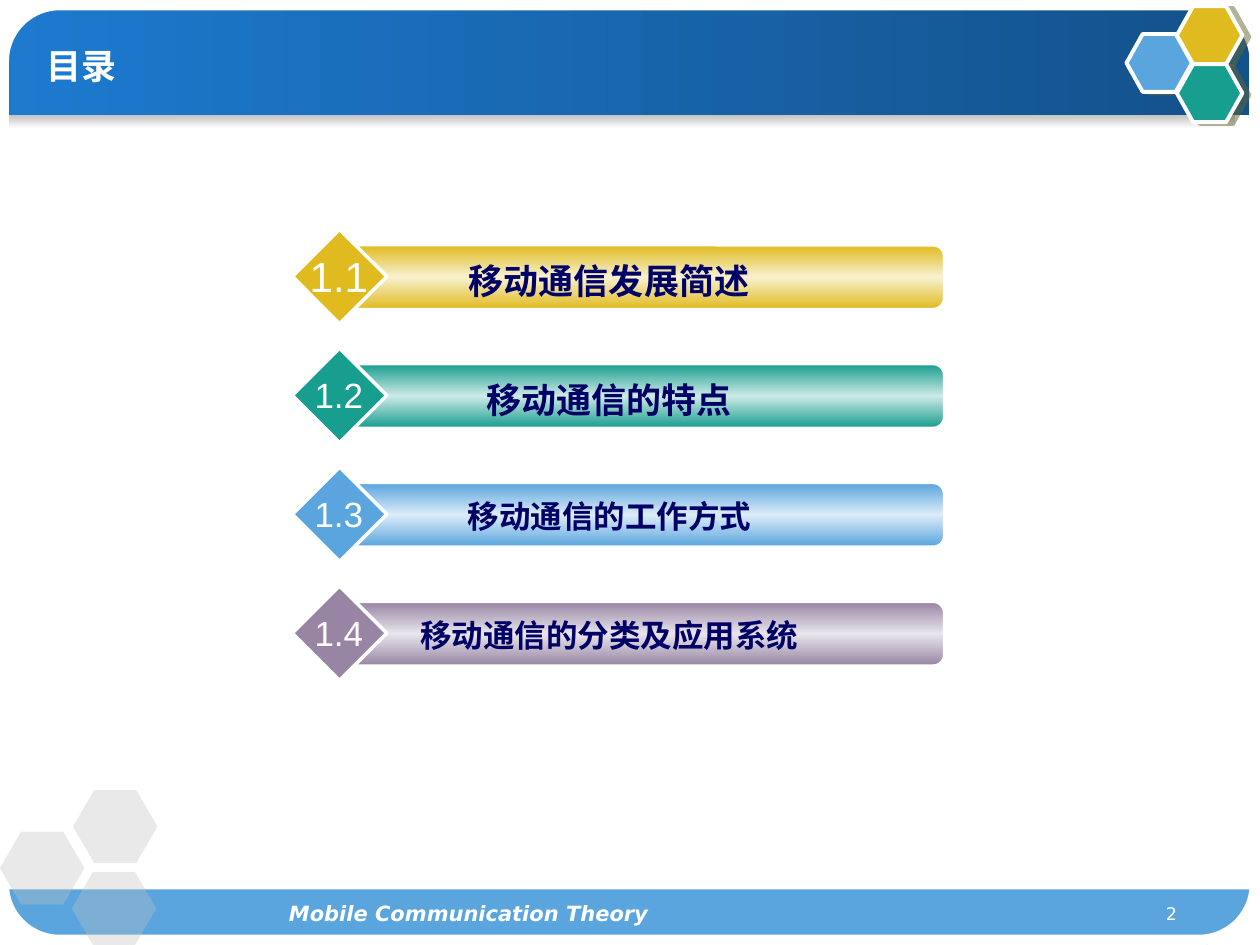
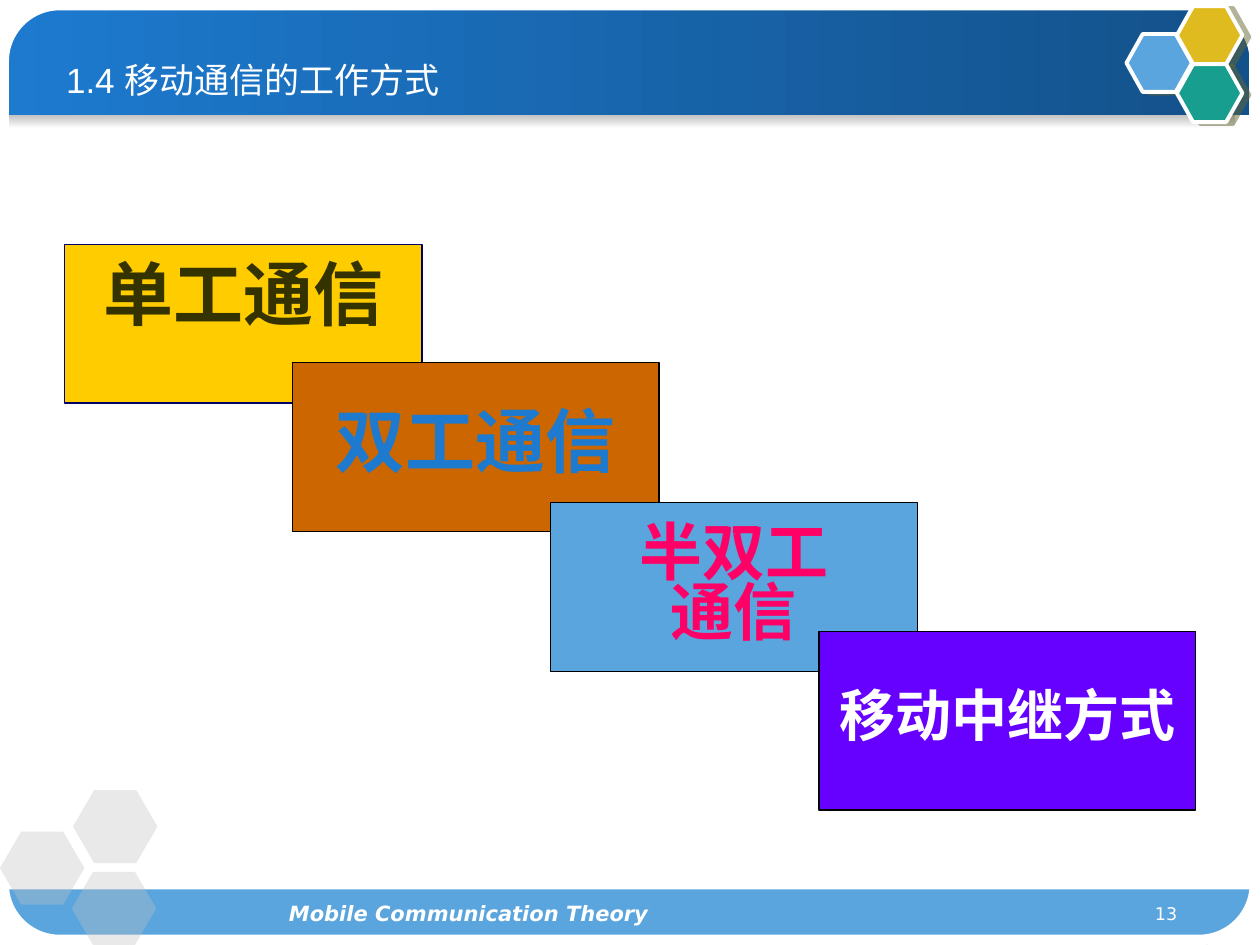
from copy import deepcopy
from lxml import etree
from pptx import Presentation
from pptx.dml.color import RGBColor
from pptx.enum.shapes import MSO_SHAPE
from pptx.enum.text import MSO_ANCHOR, PP_ALIGN
from pptx.oxml.ns import qn
from pptx.util import Inches, Pt

RECT, ROUND = MSO_SHAPE.RECTANGLE, MSO_SHAPE.ROUNDED_RECTANGLE
HEXAGON, DIAMOND = MSO_SHAPE.HEXAGON, MSO_SHAPE.DIAMOND
TOP, MIDDLE = MSO_ANCHOR.TOP, MSO_ANCHOR.MIDDLE
LEFT, CENTER, RIGHT = PP_ALIGN.LEFT, PP_ALIGN.CENTER, PP_ALIGN.RIGHT

THEME = {
    "white": "FFFFFF", "black": "000000", "navy": "000066", "silver": "C0C0C0",
    "blue": "1D7ACF", "deep": "13518A", "sky": "5AA5DE",
    "gold": "E0BB20", "teal": "189E8E", "mauve": "9885A3",
    "gold_tint": "F8F1D0", "teal_tint": "CEEAE7", "sky_tint": "DCECF8", "mauve_tint": "E9E5EC",
    "hex_shadow": "666633", "yellow": "FFCC00", "orange": "CC6600", "violet": "6600FF",
    "olive": "343300", "pink": "FF0066",
    "heading": "Arial", "body": "DejaVu Sans",
    "title_size": 20, "footer_size": 12, "number_size": 10,
}


def draw(s, kind, at, fill=None, line=None, width=0.75, adj=None):
    """Add a shape; a list of colour names as fill makes an even vertical gradient."""
    sp = s.shapes.add_shape(kind, *map(Inches, at))
    sp.shadow.inherit = False
    if adj is not None:
        sp.adjustments[0] = adj
    if isinstance(fill, list):
        sp.fill.gradient()
        sp.fill.gradient_angle = 270
        gs_list = sp._element.spPr.find(".//" + qn("a:gsLst"))
        while len(gs_list) < len(fill):
            gs_list.append(deepcopy(gs_list[0]))
        for i, (stop, name) in enumerate(zip(sp.fill.gradient_stops, fill)):
            stop.color.rgb = RGBColor.from_string(THEME[name])
            stop.position = i / (len(fill) - 1)
    elif fill:
        sp.fill.solid()
        sp.fill.fore_color.rgb = RGBColor.from_string(THEME[fill])
    else:
        sp.fill.background()
    if line:
        sp.line.color.rgb = RGBColor.from_string(THEME[line])
        sp.line.width = Pt(width)
    else:
        sp.line.fill.background()
    return sp


def write(tf, lines, size, color="white", font="body", align=CENTER, anchor=TOP,
          wrap=True, spacing=None, **style):
    """Fill a text frame, one paragraph per line."""
    tf.word_wrap, tf.vertical_anchor = wrap, anchor
    for i, text in enumerate(lines):
        p = tf.paragraphs[0] if i == 0 else tf.add_paragraph()
        p.alignment = align
        if spacing:
            p.line_spacing = spacing
        r = p.add_run()
        r.text = text
        r.font.color.rgb = RGBColor.from_string(THEME[color])
        for key, value in {"name": THEME[font], "size": Pt(size), "bold": False, **style}.items():
            setattr(r.font, key, value)


prs = Presentation()
prs.slide_width, prs.slide_height = Inches(10), Inches(7.5)

# Shared look of both slides
corners = [
    [(0, 0.49), (0.13, 0.25), (0.27, 0.06), (0.48, 0), (0, 0)],
    [(0.42, 7.5), (0.2, 7.33), (0.04, 7.17), (0, 6.92), (0, 7.5)],
    [(10, 6.99), (9.88, 7.24), (9.75, 7.43), (9.57, 7.5), (10, 7.5)],
    [(9.5, 0), (9.75, 0.14), (9.94, 0.29), (10, 0.5), (10, 0)],
]
badges = [(8.94, 0.27, "sky"), (9.34, 0.05, "gold"), (9.34, 0.51, "teal")]
ghosts = [(0, 6.6), (0.58, 6.27), (0.57, 6.92)]

slides = []
for number in ("2", "13"):
    s = prs.slides.add_slide(prs.slide_layouts[5])
    slides.append(s)

    # Bands
    sp = draw(s, RECT, (0, 0.01, 9.91, 0.9), ["blue", "deep"])
    sp.fill.gradient_angle = 0
    draw(s, RECT, (0, 7.06, 9.98, 0.44), "sky")
    draw(s, RECT, (0, 0.91, 9.8, 0.11), ["silver", "white"])

    # Rounded white frame with its corners
    draw(s, ROUND, (0.03, 0.04, 9.93, 7.42), line="white", width=6, adj=0.06)
    for points in corners:
        points = [(Inches(x), Inches(y)) for x, y in points]
        outline = s.shapes.build_freeform(*points[0])
        outline.add_line_segments(points[1:])
        sp = outline.convert_to_shape()
        sp.shadow.inherit = False
        sp.fill.solid()
        sp.fill.fore_color.rgb = RGBColor.from_string(THEME["white"])
        sp.line.fill.background()

    # Coloured hexagons with a hard shadow
    for x, y, color in badges:
        sp = draw(s, HEXAGON, (x, y, 0.52, 0.46), color, "white", 2.25, 0.28)
        effects = sp._element.spPr.find(qn("a:effectLst"))
        shadow = etree.SubElement(effects, qn("a:outerShdw"), blurRad="0", dist=str(Pt(4.1)),
                                  dir=str(14 * 60000), algn="ctr", rotWithShape="0")
        tone = etree.SubElement(shadow, qn("a:srgbClr"), val=THEME["hex_shadow"])
        etree.SubElement(tone, qn("a:alpha"), val="50000")

    # Pale see-through hexagons
    for x, y in ghosts:
        sp = draw(s, HEXAGON, (x, y, 0.67, 0.58), "silver", adj=0.29)
        tone = sp._element.spPr.find(".//" + qn("a:srgbClr"))
        etree.SubElement(tone, qn("a:alpha"), val="35000")

    # Page number and footer
    sp = s.shapes.add_textbox(*map(Inches, (9.02, 7.12, 0.42, 0.25)))
    write(sp.text_frame, [number], THEME["number_size"], align=RIGHT)
    sp = s.shapes.add_textbox(*map(Inches, (1.46, 7.1, 4.52, 0.35)))
    write(sp.text_frame, ["Mobile Communication Theory"], THEME["footer_size"],
          bold=True, italic=True)

    # Title placeholder, raised above the band
    title = s.shapes.title
    title.left, title.top, title.width, title.height = map(Inches, (0.27, 0.21, 8.11, 0.62))
    s.shapes._spTree.append(title._element)

contents, modes = slides

# Slide 1: contents
write(contents.shapes.title.text_frame, ["目录"], THEME["title_size"], font="heading",
      align=LEFT, anchor=MIDDLE, bold=True)
chapters = [
    ("1.1", 24, "移动通信发展简述 ", 20, "gold"),
    ("1.2", 20, "移动通信的特点 ", 20, "teal"),
    ("1.3", 20, "移动通信的工作方式 ", 18, "sky"),
    ("1.4", 20, "移动通信的分类及应用系统 ", 18, "mauve"),
]
row_step = (4.78 - 1.95) / (len(chapters) - 1)
for i, (number, number_size, name, name_size, color) in enumerate(chapters):
    y = 1.95 + i * row_step
    draw(contents, ROUND, (2.74, y, 4.75, 0.5), [color, color + "_tint", color], "white", 1)
    draw(contents, DIAMOND, (2.32, y - 0.13, 0.75, 0.75), color, "white", 2)
    sp = contents.shapes.add_textbox(*map(Inches, (2.99, y + 0.06, 3.75, 0.1 + name_size / 60)))
    write(sp.text_frame, [name], name_size, "navy", "heading", bold=True)
    height = 0.1 + number_size / 60
    sp = contents.shapes.add_textbox(*map(Inches, (2.36, y + 0.24 - height / 2, 0.66, height)))
    write(sp.text_frame, [number], number_size, font="heading", wrap=False)

# Slide 2: working modes
tf = modes.shapes.title.text_frame
write(tf, [" "], 40, font="heading", align=LEFT, anchor=MIDDLE)
r = tf.paragraphs[0].add_run()
r.text = "1.4 移动通信的工作方式"
r.font.name, r.font.size, r.font.bold = THEME["heading"], Pt(THEME["title_size"]), False
r.font.color.rgb = RGBColor.from_string(THEME["white"])

steps = [
    ((0.51, 1.94, 2.84, 1.26), "yellow", "navy", ["单工通信"], 40, "olive", TOP, None),
    ((2.32, 2.88, 2.91, 1.34), "orange", "black", ["双工通信"], 40, "blue", MIDDLE, 0.8),
    ((4.37, 3.99, 2.91, 1.34), "sky", "black", ["半双工", "通信"], 36, "pink", MIDDLE, 0.8),
    ((6.5, 5.01, 2.99, 1.42), "violet", "black", ["移动中继方式"], 32, "white", MIDDLE, 0.8),
]
for at, fill, line, lines, size, color, anchor, spacing in steps:
    sp = draw(modes, RECT, at, fill, line)
    write(sp.text_frame, lines, size, color, anchor=anchor, spacing=spacing, bold=True)

prs.save("out.pptx")
